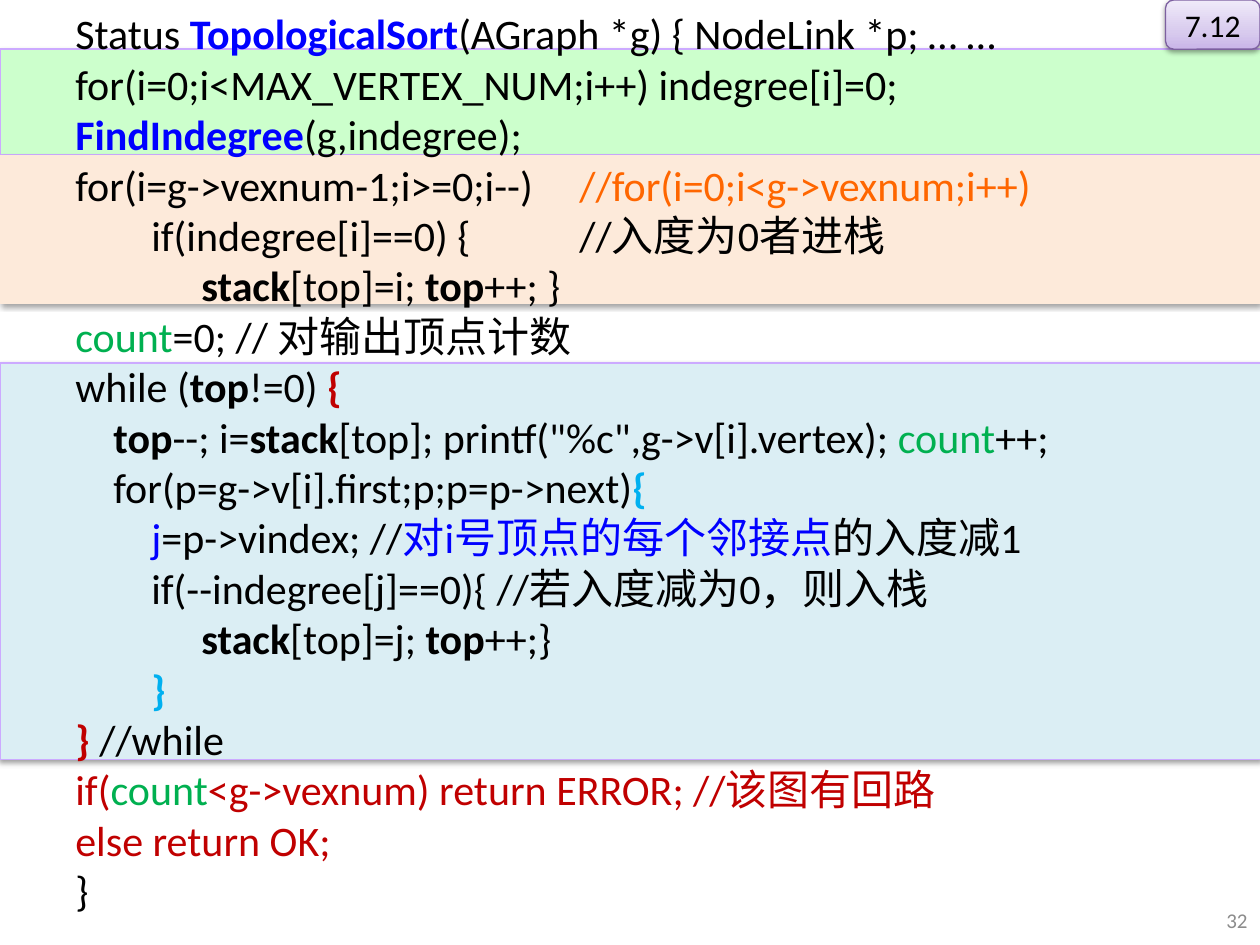
from dataclasses import dataclass

from lxml.etree import SubElement
from pptx import Presentation
from pptx.dml.color import RGBColor as Rgb
from pptx.enum.shapes import MSO_SHAPE as Shape
from pptx.enum.text import MSO_ANCHOR as Anchor, PP_ALIGN as Align
from pptx.oxml import parse_xml
from pptx.oxml.ns import nsdecls, qn
from pptx.util import Pt


@dataclass(frozen=True)
class Theme:
    """Colours, type sizes and spacing of the slide."""
    font: str = "Calibri"
    code_size: float = 24
    badge_size: float = 18
    number_size: float = 12
    line_pitch: float = 28.8
    tab_stops: tuple = (21.7, 43.4, 72, 288)
    black: str = "000000"
    blue: str = "0000FF"
    orange: str = "FF6600"
    green: str = "00B050"
    red: str = "C00000"
    cyan: str = "00B0F0"
    grey: str = "8C8C8C"
    mint: str = "CCFFCC"
    peach: str = "FDEADA"
    ice: str = "DBEEF4"
    lilac: str = "CCAAFF"
    violet: str = "7D60A0"
    badge_stops: tuple = ((0, "C9B5E8"), (35, "D8CBEE"), (100, "F0EAF9"))


THEME = Theme()
BOLD = {"bold": True}
NAME = {"color": THEME.blue, "bold": True}
OUTER = {"color": THEME.red, "bold": True}
INNER = {"color": THEME.cyan, "bold": True}
BLUE = {"color": THEME.blue}
GREEN = {"color": THEME.green}
RED = {"color": THEME.red}
ORANGE = {"color": THEME.orange}

CODE = [
    ["Status ", ("TopologicalSort", NAME), "(AGraph *g) { NodeLink *p; … …"],
    ["for(i=0;i<MAX_VERTEX_NUM;i++) indegree[i]=0;"],
    [("FindIndegree", NAME), "(g,indegree);"],
    ["for(i=g->vexnum-1;i>=0;i--)\t", ("//for(i=0;i<g->vexnum;i++)", ORANGE)],
    ["\t\tif(indegree[i]==0) {\t//入度为0者进栈"],
    ["\t\t\t", ("stack", BOLD), "[top]=i; ", ("top", BOLD), "++; }"],
    [("count", GREEN), "=0; // 对输出顶点计数"],
    ["while (", ("top", BOLD), "!=0) ", ("{", OUTER)],
    ["\t", ("top", BOLD), "--; i=", ("stack", BOLD),
     '[top]; printf("%c",g->v[i].vertex); ', ("count", GREEN), "++;"],
    ["\tfor(p=g->v[i].first;p;p=p->next)", ("{", INNER)],
    ["\t\t", ("j", BLUE), "=p->vindex; //", ("对i号顶点的每个邻接点", BLUE), "的入度减1"],
    ["\t\tif(--indegree[j]==0){ //若入度减为0，则入栈"],
    ["\t\t\t", ("stack", BOLD), "[top]=j; ", ("top", BOLD), "++;}"],
    ["\t\t", ("}", INNER)],
    [("}", OUTER), " //while"],
    [("if(", RED), ("count", GREEN), ("<g->vexnum) return ERROR; //该图有回路", RED)],
    [("else return OK;", RED)],
    ["}"],
]


def write_span(para, text, color=THEME.black, size=THEME.code_size, bold=False):
    """Append formatted text to a paragraph."""
    span = para.add_run()
    span.text = text
    span.font.name = THEME.font
    span.font.size = Pt(size)
    span.font.bold = bold
    span.font.color.rgb = Rgb.from_string(color)


def add_shadow(shape):
    """Give a shape a soft shadow straight below it."""
    shape.shadow.inherit = False
    effects = shape.element.spPr.find(qn("a:effectLst"))
    effects.append(parse_xml(
        f'<a:outerShdw {nsdecls("a")} blurRad="{Pt(3.1)}" dist="{Pt(1.6)}" '
        'dir="5400000" rotWithShape="0"><a:srgbClr val="000000">'
        '<a:alpha val="38000"/></a:srgbClr></a:outerShdw>'))


def set_outline(shape, color):
    """Draw a thin outline, or none when no colour is given."""
    if color:
        shape.line.color.rgb = Rgb.from_string(color)
        shape.line.width = Pt(0.75)
    else:
        shape.line.fill.background()


def add_band(page, top, height, fill, outline=None):
    """Add a full-width band behind a block of code."""
    band = page.shapes.add_shape(Shape.RECTANGLE, 0, Pt(top), Pt(720.5), Pt(height))
    band.fill.solid()
    band.fill.fore_color.rgb = Rgb.from_string(fill)
    set_outline(band, outline)
    add_shadow(band)


def add_tab_stops(para):
    """Set the indentation stops of a code line."""
    stops = SubElement(para._p.get_or_add_pPr(), qn("a:tabLst"))
    for position in THEME.tab_stops:
        SubElement(stops, qn("a:tab"), pos=str(Pt(position)), algn="l")


def add_code(page):
    """Add the listing, one paragraph per line."""
    box = page.shapes.add_textbox(Pt(36), 0, Pt(648), Pt(540))
    frame = box.text_frame
    frame.word_wrap = True
    frame.margin_top = Pt(4.5)
    for index, line in enumerate(CODE):
        para = frame.add_paragraph() if index else frame.paragraphs[0]
        para.line_spacing = Pt(THEME.line_pitch)
        add_tab_stops(para)
        for part in line:
            text, style = (part, {}) if isinstance(part, str) else part
            write_span(para, text, **style)


def write_label(box, text, align, **style):
    """Write one vertically centred line in a box."""
    frame = box.text_frame
    frame.word_wrap = True
    frame.vertical_anchor = Anchor.MIDDLE
    para = frame.paragraphs[0]
    para.alignment = align
    write_span(para, text, **style)


def add_badge(page, text):
    """Add the section badge in the top right corner."""
    badge = page.shapes.add_shape(
        Shape.FLOWCHART_ALTERNATE_PROCESS, Pt(666), 0, Pt(54), Pt(28.1))
    badge.fill.gradient()
    gradient = badge.element.spPr.find(qn("a:gradFill"))
    stops = gradient.find(qn("a:gsLst"))
    stops.clear()
    for position, color in THEME.badge_stops:
        stop = SubElement(stops, qn("a:gs"), pos=str(position * 1000))
        SubElement(stop, qn("a:srgbClr"), val=color)
    gradient.find(qn("a:lin")).set("ang", str(270 * 60000))
    set_outline(badge, THEME.violet)
    add_shadow(badge)
    write_label(badge, text, Align.CENTER, size=THEME.badge_size)


def add_page_number(page, text):
    """Add the page number in the bottom right corner."""
    box = page.shapes.add_textbox(Pt(689), Pt(511.2), Pt(31), Pt(28.8))
    write_label(box, text, Align.RIGHT, color=THEME.grey, size=THEME.number_size)


def main():
    """Build and save the slide."""
    deck = Presentation()
    deck.slide_width, deck.slide_height = Pt(720), Pt(540)
    page = deck.slides.add_slide(deck.slide_layouts[6])
    add_band(page, 28.1, 60.5, THEME.mint, THEME.lilac)
    add_band(page, 88.6, 85, THEME.peach)
    add_band(page, 207.4, 226.8, THEME.ice, THEME.lilac)
    add_code(page)
    add_page_number(page, "32")
    add_badge(page, "7.12")
    deck.save("out.pptx")


if __name__ == "__main__":
    main()
